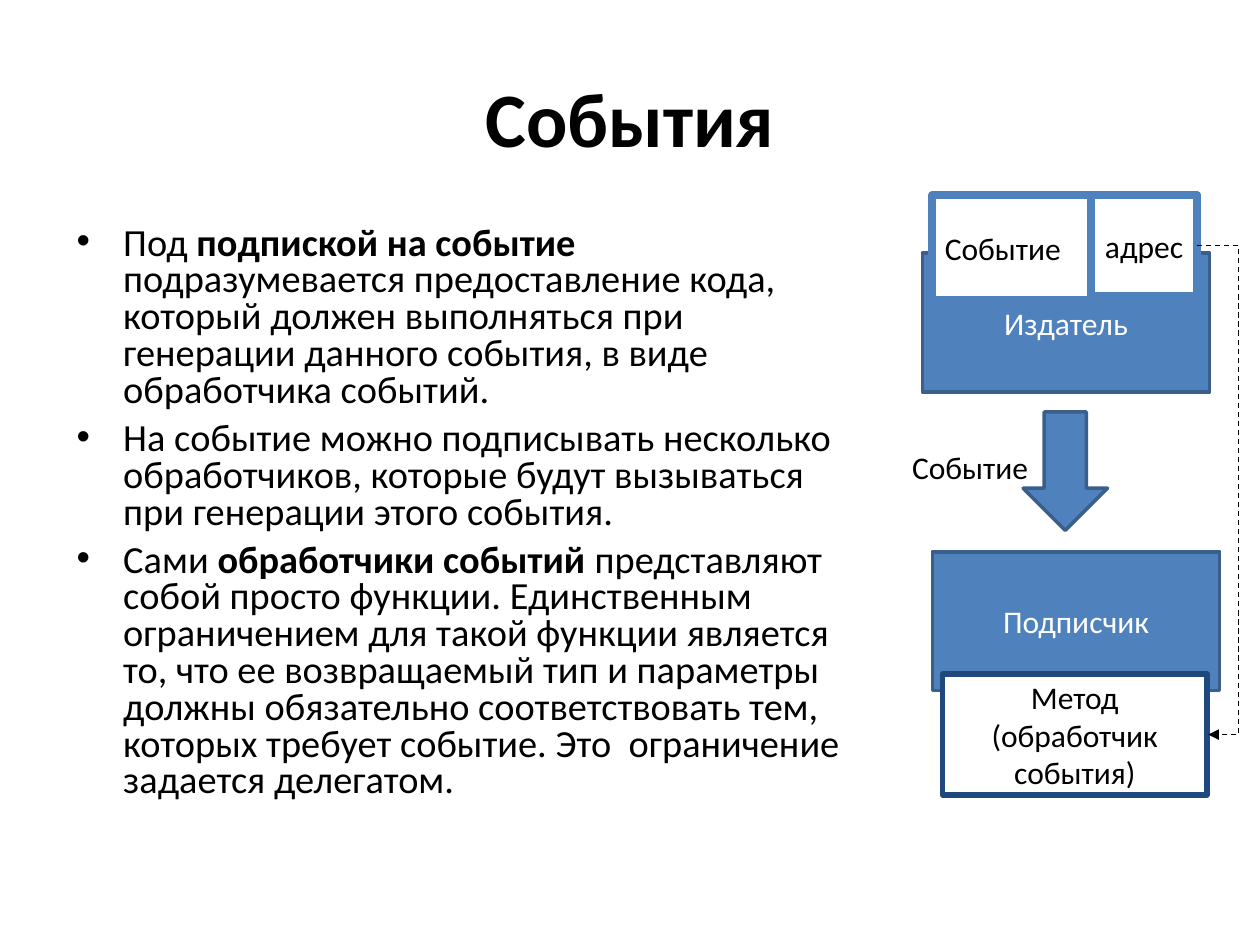
from dataclasses import dataclass

from lxml.etree import SubElement
from pptx import Presentation
from pptx.dml.color import RGBColor
from pptx.enum.dml import MSO_LINE as Dash
from pptx.enum.shapes import MSO_CONNECTOR as Link, MSO_SHAPE as Kind
from pptx.enum.text import MSO_ANCHOR as Anchor, MSO_AUTO_SIZE as Fit, PP_ALIGN as Align
from pptx.oxml.ns import qn
from pptx.util import Pt

PX = 9144
FONT = "Calibri"
BLACK, WHITE, BLUE, EDGE, NAVY = "000000", "FFFFFF", "4F81BD", "3A5F8B", "1F497D"


@dataclass
class Box:
    """A filled shape with a label, in px."""
    left: int
    top: int
    wide: int
    high: int
    text: str = ""
    fill: str = BLUE
    line: str = EDGE
    width: float = 2
    ink: str = WHITE
    align: Align = Align.CENTER
    kind: Kind = Kind.RECTANGLE


BOXES = [
    Box(732, 201, 228, 110, "Издатель"),
    Box(812, 327, 67, 94, kind=Kind.DOWN_ARROW),
    Box(740, 438, 228, 110, "Подписчик"),
    Box(740, 155, 210, 83, "Событие", WHITE, BLUE, 4.5, BLACK, Align.LEFT),
    Box(748, 535, 210, 96, "Метод (обработчик события)", WHITE, NAVY, 3, BLACK),
    Box(866, 155, 84, 80, "адрес", WHITE, BLUE, 4.5, BLACK),
]

POINTS = [
    [("Под ", False), ("подпиской на событие ", True),
     ("подразумевается предоставление кода, который должен выполняться при "
      "генерации данного события, в виде обработчика событий.", False)],
    [("На событие можно подписывать несколько обработчиков, которые будут "
      "вызываться при генерации этого события.", False)],
    [("Сами ", False), ("обработчики событий ", True),
     ("представляют собой просто функции. Единственным ограничением для такой "
      "функции является то, что ее возвращаемый тип и параметры должны "
      "обязательно соответствовать тем, которых требует событие. "
      "Это  ограничение задается делегатом.", False)],
]


def px(*vals: int) -> list[int]:
    """Turn px into EMU."""
    return [val * PX for val in vals]


def paint(form, color: str) -> None:
    """Set the colour of a fill or font."""
    if hasattr(form, "solid"):
        form.solid()
        form.fore_color.rgb = RGBColor.from_string(color)
    else:
        form.color.rgb = RGBColor.from_string(color)


def write(para, text: str, size: float = 18, color: str = BLACK,
          bold: bool = False, align: Align = Align.LEFT) -> None:
    """Add a formatted run to a paragraph."""
    para.alignment = align
    run = para.add_run()
    run.text = text
    run.font.name, run.font.size, run.font.bold = FONT, Pt(size), bold
    paint(run.font, color)


def draw(slide, box: Box) -> None:
    """Draw a box and its label."""
    shape = slide.shapes.add_shape(box.kind, *px(box.left, box.top, box.wide, box.high))
    shape.shadow.inherit = False
    paint(shape.fill, box.fill)
    paint(shape.line.fill, box.line)
    shape.line.width = Pt(box.width)
    if box.text:
        frame = shape.text_frame
        frame.word_wrap, frame.vertical_anchor = True, Anchor.MIDDLE
        write(frame.paragraphs[0], box.text, color=box.ink, align=box.align)


def label(slide, left: int, top: int, wide: int, high: int):
    """Add a wrapping text box and return its frame."""
    frame = slide.shapes.add_textbox(*px(left, top, wide, high)).text_frame
    frame.word_wrap = True
    return frame


def bullets(slide) -> None:
    """Write the bulleted points."""
    frame = label(slide, 50, 175, 643, 495)
    for num, runs in enumerate(POINTS):
        para = frame.add_paragraph() if num else frame.paragraphs[0]
        para.line_spacing = 0.8
        para.space_before = Pt(6.4 if num else 0)
        props = para._p.get_or_add_pPr()
        props.set("marL", str(38 * PX))
        props.set("indent", str(-37 * PX))
        SubElement(props, qn("a:buFont"), typeface="Arial")
        SubElement(props, qn("a:buChar"), char="•")
        for text, bold in runs:
            write(para, text, 21.9, bold=bold)


def route(slide, left: int, top: int, right: int, low: int, bend: int) -> None:
    """Draw a dashed elbow arrow that turns at the bend."""
    link = slide.shapes.add_connector(Link.ELBOW, *px(left, top, right, low))
    paint(link.line.fill, BLACK)
    link.line.width, link.line.dash_style = Pt(0.75), Dash.DASH
    props = link._element.spPr
    ratio = round((bend - left) / (right - left) * 100000)
    guides = props.find(qn("a:prstGeom")).get_or_add_avLst()
    SubElement(guides, qn("a:gd"), name="adj1", fmla=f"val {ratio}")
    SubElement(props.find(qn("a:ln")), qn("a:tailEnd"), type="triangle")
    SubElement(props, qn("a:effectLst"))


def main() -> None:
    """Build the slide and save it."""
    deck = Presentation()
    deck.slide_width, deck.slide_height = px(1000, 750)
    slide = deck.slides.add_slide(deck.slide_layouts[5])
    title = slide.shapes.title
    title.left, title.top, title.width, title.height = px(50, 30, 900, 125)
    title.text_frame.vertical_anchor = Anchor.MIDDLE
    write(title.text_frame.paragraphs[0], "События", 44, bold=True, align=Align.CENTER)
    bullets(slide)
    for box in BOXES[:3]:
        draw(slide, box)
    event = label(slide, 714, 351, 197, 40)
    event.auto_size = Fit.SHAPE_TO_FIT_TEXT
    write(event.paragraphs[0], "Событие")
    for box in BOXES[3:]:
        draw(slide, box)
    route(slide, 950, 195, 959, 583, 983)
    deck.save("out.pptx")


if __name__ == "__main__":
    main()
